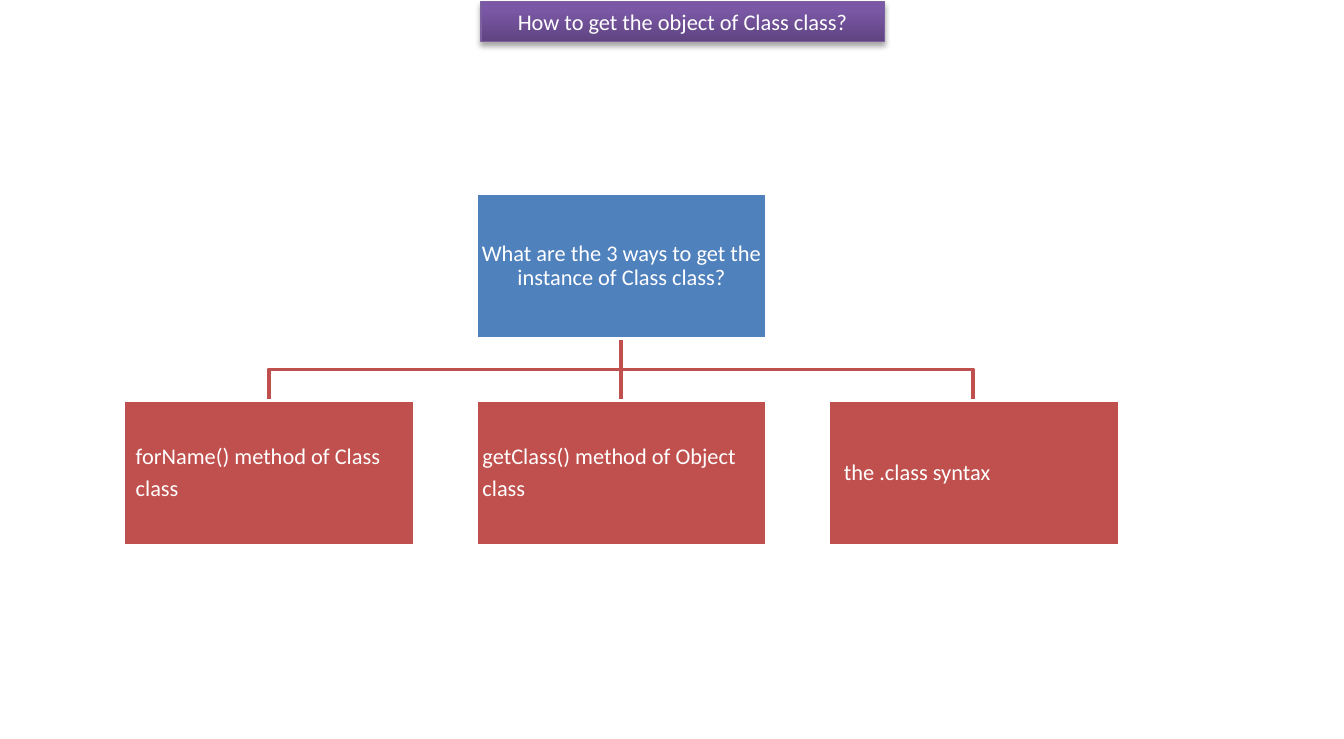
from copy import deepcopy
from dataclasses import dataclass

from lxml.etree import SubElement
from pptx import Presentation
from pptx.dml.color import RGBColor
from pptx.enum.shapes import MSO_CONNECTOR as Connector, MSO_SHAPE as Shape
from pptx.enum.text import MSO_ANCHOR as Anchor, MSO_AUTO_SIZE as AutoSize, PP_ALIGN as Align
from pptx.oxml.ns import qn
from pptx.slide import Slide
from pptx.util import Emu, Pt

PX = 9144
WHITE = RGBColor(0xFF, 0xFF, 0xFF)
BLUE = RGBColor(0x4F, 0x81, 0xBD)
RED = RGBColor(0xC0, 0x50, 0x4D)
PURPLE_LINE = RGBColor(0x7D, 0x60, 0xA0)
PURPLE_STOPS = (
    (0, RGBColor(0x5F, 0x44, 0x80)),
    (0.8, RGBColor(0x7B, 0x58, 0xA6)),
    (1, RGBColor(0x7C, 0x57, 0xA8)),
)
BOX_WIDTH, BOX_HEIGHT = 217, 108
FIRST_LEFT, COLUMN_STEP = 92, 262
ROOT_TOP, CHILD_TOP = 144, 298
INSET = 1


@dataclass(frozen=True)
class Node:
    text: str
    column: int
    top: int
    fill: RGBColor
    align: Align = Align.LEFT
    indent: int = 0

    @property
    def left(self) -> int:
        return FIRST_LEFT + self.column * COLUMN_STEP

    @property
    def center(self) -> int:
        return self.left + BOX_WIDTH // 2


ROOT = Node("What are the 3 ways to get the instance of Class class?", 1, ROOT_TOP, BLUE, Align.CENTER)
CHILDREN = (
    Node("forName() method of Class\nclass", 0, CHILD_TOP, RED, indent=8),
    Node("getClass() method of Object\nclass", 1, CHILD_TOP, RED, indent=4),
    Node("the .class syntax", 2, CHILD_TOP, RED, indent=11),
)


def px(length: int) -> Emu:
    return Emu(length * PX)


def format_text(shape, align: Align) -> None:
    frame = shape.text_frame
    frame.word_wrap = True
    frame.auto_size = AutoSize.NONE
    frame.vertical_anchor = Anchor.MIDDLE
    for para in frame.paragraphs:
        para.alignment = align
        for span in para.runs:
            span.font.name = "Calibri"
            span.font.size = Pt(12)
            span.font.color.rgb = WHITE


def draw_title(page: Slide, text: str) -> None:
    title = page.shapes.title
    title.left, title.top, title.width, title.height = px(358), px(1), px(300), px(30)
    title.text_frame.text = text
    format_text(title, Align.CENTER)

    title.fill.gradient()
    title.fill.gradient_angle = 90
    properties = title.element.spPr
    stop_list = properties.find(qn("a:gradFill")).find(qn("a:gsLst"))
    stop_list.append(deepcopy(stop_list[-1]))
    for stop, (position, color) in zip(title.fill.gradient_stops, PURPLE_STOPS):
        stop.position = position
        stop.color.rgb = color
    title.line.color.rgb = PURPLE_LINE
    title.line.width = Pt(0.75)

    title.shadow.inherit = False
    shadow = SubElement(
        properties.find(qn("a:effectLst")), qn("a:outerShdw"),
        blurRad=str(Pt(3.1)), dist=str(Pt(1.8)), dir="5400000", rotWithShape="0",
    )
    color = SubElement(shadow, qn("a:srgbClr"), val="000000")
    SubElement(color, qn("a:alpha"), val="35000")


def draw_link(page: Slide, parent: Node, child: Node) -> None:
    start = parent.top + BOX_HEIGHT
    middle = (start + child.top) // 2
    if parent.center == child.center:
        link = page.shapes.add_connector(
            Connector.STRAIGHT, px(parent.center), px(start), px(child.center), px(child.top)
        )
        SubElement(link.element.spPr, qn("a:effectLst"))
    else:
        builder = page.shapes.build_freeform(parent.center, start, scale=PX)
        builder.add_line_segments(
            [(parent.center, middle), (child.center, middle), (child.center, child.top)], close=False
        )
        link = builder.convert_to_shape()
        link.fill.background()
        link.shadow.inherit = False
    link.line.color.rgb = RED
    link.line.width = Pt(2)


def draw_node(page: Slide, node: Node) -> None:
    box = page.shapes.add_shape(
        Shape.RECTANGLE, px(node.left), px(node.top), px(BOX_WIDTH), px(BOX_HEIGHT)
    )
    box.shadow.inherit = False
    box.fill.solid()
    box.fill.fore_color.rgb = node.fill
    box.line.color.rgb = WHITE
    box.line.width = Pt(2)
    frame = box.text_frame
    frame.text = node.text
    frame.margin_left = px(INSET + node.indent)
    frame.margin_top = frame.margin_right = frame.margin_bottom = px(INSET)
    format_text(box, node.align)
    for para in frame.paragraphs:
        para.line_spacing = 0.9
        para.space_after = Pt(4.2)


def main() -> None:
    deck = Presentation()
    deck.slide_width, deck.slide_height = px(1000), px(550)
    page = deck.slides.add_slide(deck.slide_layouts.get_by_name("Title Only"))
    draw_title(page, "How to get the object of Class class?")
    for child in CHILDREN:
        draw_link(page, ROOT, child)
    for node in (ROOT, *CHILDREN):
        draw_node(page, node)
    deck.save("out.pptx")


if __name__ == "__main__":
    main()
